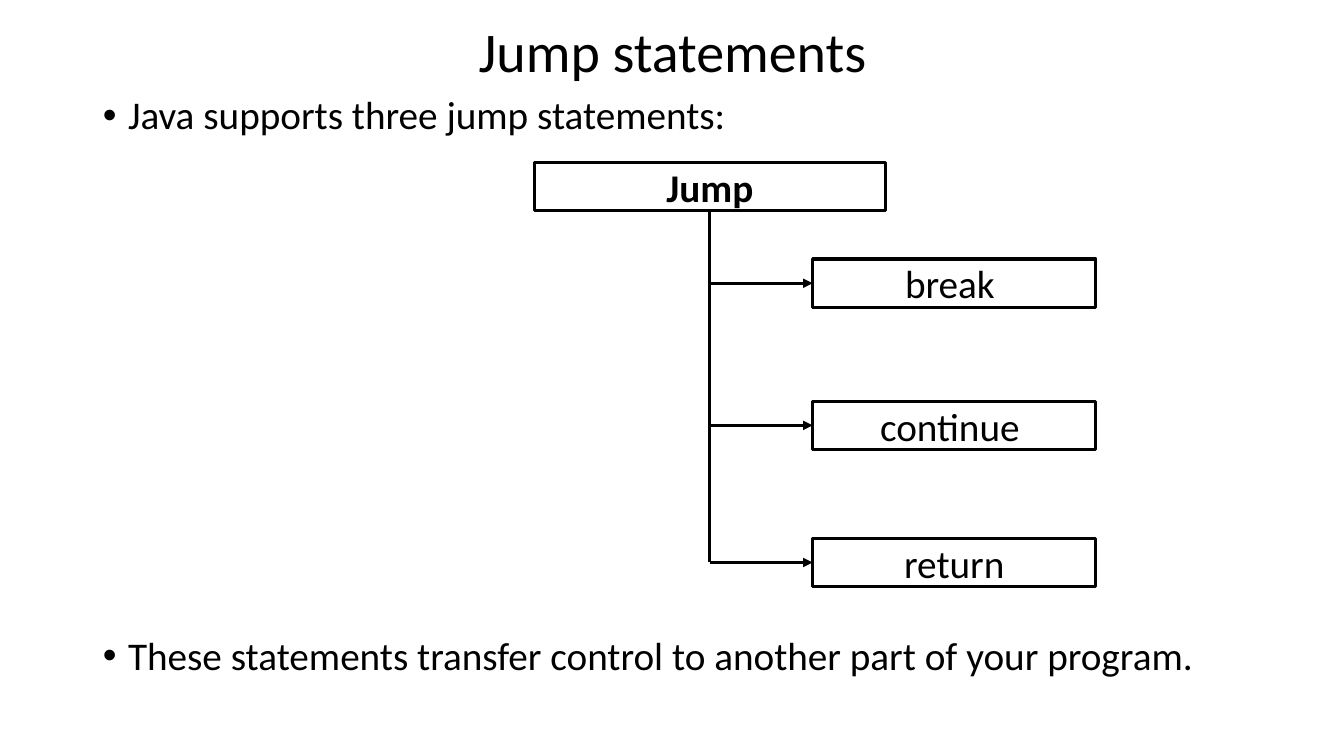
from dataclasses import dataclass

from lxml import etree
from pptx import Presentation
from pptx import util as u
from pptx.dml.color import RGBColor
from pptx.enum import shapes, text
from pptx.oxml.ns import qn

PX = 9144
COLORS = {"ink": "000000", "paper": "FFFFFF"}
FONT = "Calibri"
LINE_PT = 2.25
BOX_H = 48
INDENT = 25
TOP, BOTTOM, LEFT = 0, 2, 1


@dataclass(frozen=True)
class Box:
    label: str
    left: int
    top: int
    width: int
    bold: bool = False

    @property
    def center(self) -> int:
        return self.left + self.width // 2

    @property
    def middle(self) -> int:
        return self.top + BOX_H // 2


@dataclass(frozen=True)
class Bullet:
    label: str
    before: int


JUMP = Box("Jump", 530, 161, 348, bold=True)
KEYWORDS = [
    Box(label, 806, top, 281)
    for label, top in (("break ", 257), ("continue ", 398), ("return", 534))
]
BULLETS = [
    Bullet("Java supports three jump statements:", 0),
    Bullet("These statements transfer control to another part of your program.", 356),
]


def px(n: int) -> u.Emu:
    return u.Emu(n * PX)


def rgb(name: str) -> RGBColor:
    return RGBColor.from_string(COLORS[name])


def write(p, label: str, *, size: int = 28, bold: bool = False,
          align=text.PP_ALIGN.CENTER, spacing: float = 1.0, before: int = 0) -> None:
    p.alignment = align
    p.line_spacing = spacing
    p.space_before = u.Pt(before)
    r = p.add_run()
    r.text = label
    r.font.name = FONT
    r.font.size = u.Pt(size)
    r.font.bold = bold
    r.font.color.rgb = rgb("ink")


def place(sp, left: int, top: int, width: int, height: int) -> None:
    sp.left, sp.top, sp.width, sp.height = map(px, (left, top, width, height))


def add_bullet(p, bullet: Bullet) -> None:
    p.level = 2
    pPr = p._p.get_or_add_pPr()
    pPr.set("marL", str(px(INDENT)))
    pPr.set("indent", str(-px(INDENT)))
    etree.SubElement(pPr, qn("a:buFont")).set("typeface", "Arial")
    etree.SubElement(pPr, qn("a:buChar")).set("char", "•")
    write(p, bullet.label, align=text.PP_ALIGN.JUSTIFY, spacing=0.9, before=bullet.before)


def add_box(s, box: Box):
    sp = s.shapes.add_shape(shapes.MSO_SHAPE.RECTANGLE, px(box.left), px(box.top),
                            px(box.width), px(BOX_H))
    sp.shadow.inherit = False
    sp.fill.solid()
    sp.fill.fore_color.rgb = rgb("paper")
    sp.line.color.rgb = rgb("ink")
    sp.line.width = u.Pt(LINE_PT)
    tf = sp.text_frame
    tf.word_wrap = True
    tf.vertical_anchor = text.MSO_ANCHOR.MIDDLE
    write(tf.paragraphs[0], box.label, bold=box.bold)
    return sp


def add_line(s, x1: int, y1: int, x2: int, y2: int, arrow: bool = False):
    line = s.shapes.add_connector(shapes.MSO_CONNECTOR.STRAIGHT,
                                  px(x1), px(y1), px(x2), px(y2))
    line.line.color.rgb = rgb("ink")
    line.line.width = u.Pt(LINE_PT)
    if arrow:
        ln = line.line._get_or_add_ln()
        etree.SubElement(ln, qn("a:tailEnd")).set("type", "triangle")
    etree.SubElement(line._element.spPr, qn("a:effectLst"))
    return line


def main() -> None:
    prs = Presentation()
    prs.slide_width, prs.slide_height = px(1333), px(750)
    s = prs.slides.add_slide(prs.slide_layouts[1])

    title = s.shapes.title
    place(title, 92, 19, 1150, 70)
    title.text_frame.vertical_anchor = text.MSO_ANCHOR.MIDDLE
    write(title.text_frame.paragraphs[0], "Jump statements", size=40, spacing=0.9)

    body = s.placeholders[1]
    place(body, 92, 90, 1150, 641)
    tf = body.text_frame
    tf.auto_size = text.MSO_AUTO_SIZE.NONE
    for i, bullet in enumerate(BULLETS):
        add_bullet(tf.add_paragraph() if i else tf.paragraphs[0], bullet)

    root = add_box(s, JUMP)
    spine = add_line(s, JUMP.center, JUMP.top + BOX_H, JUMP.center, KEYWORDS[-1].middle)
    spine.begin_connect(root, BOTTOM)
    for box in KEYWORDS:
        sp = add_box(s, box)
        branch = add_line(s, JUMP.center, box.middle, box.left, box.middle, arrow=True)
        branch.end_connect(sp, LEFT)

    prs.save("out.pptx")


if __name__ == "__main__":
    main()
